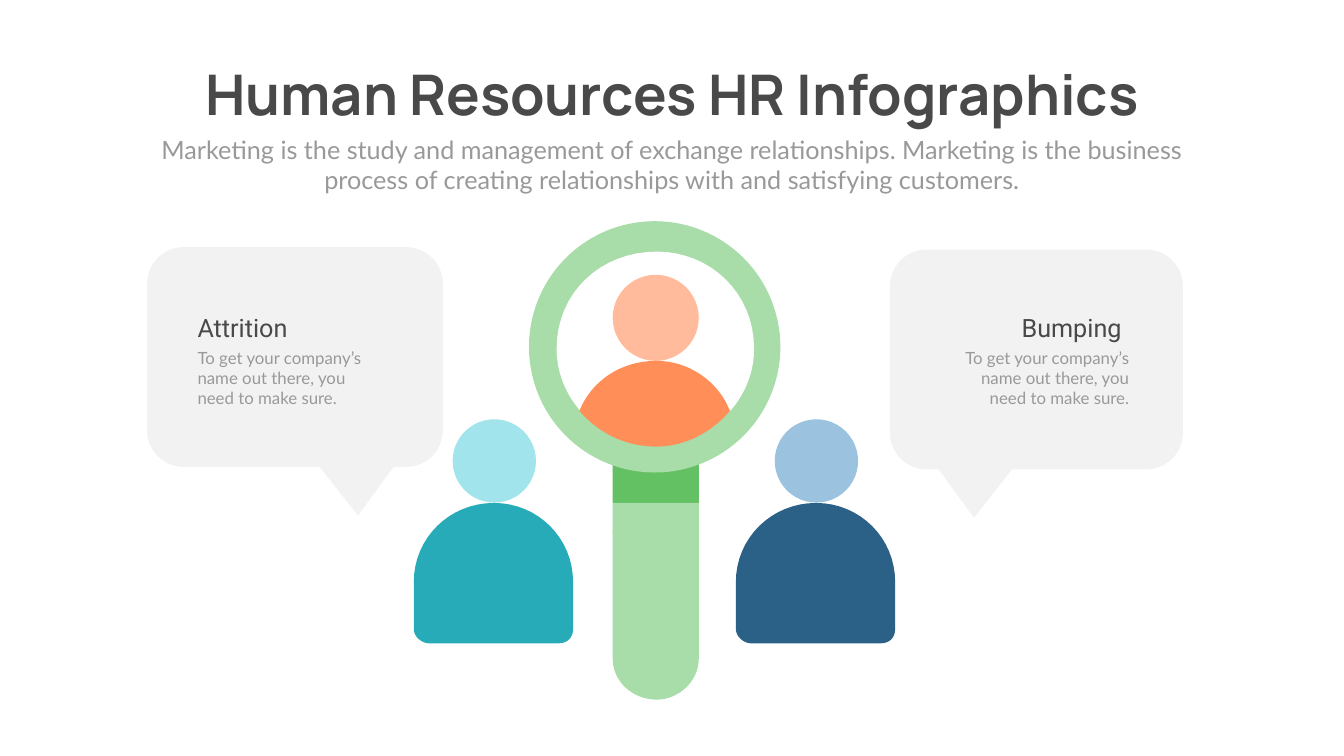
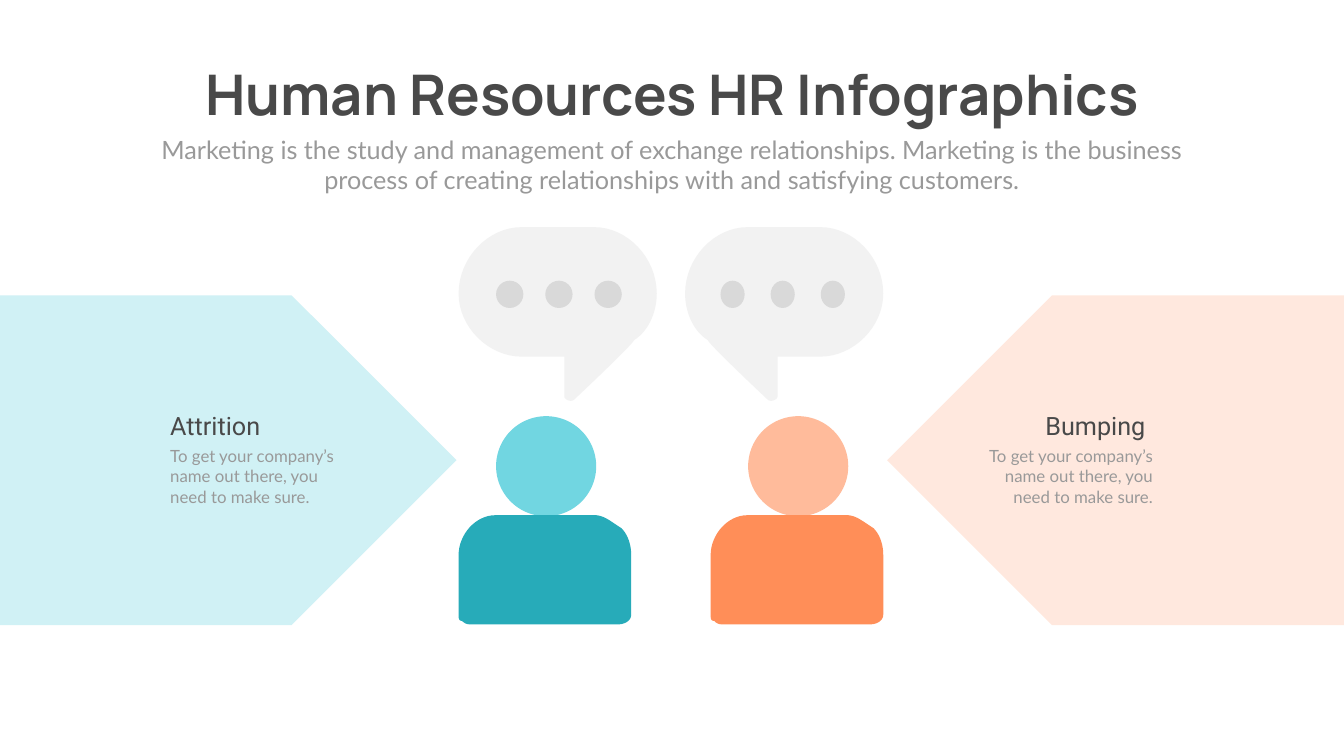
import pptx
import pptx.util
import pptx.dml.color
import pptx.enum.shapes
import pptx.enum.text

Pt = pptx.util.Pt
SHAPES = pptx.enum.shapes.MSO_SHAPE
ALIGN = pptx.enum.text.PP_ALIGN
ANCHOR = pptx.enum.text.MSO_ANCHOR
AUTO_SIZE = pptx.enum.text.MSO_AUTO_SIZE

TITLE = "Human Resources HR Infographics"
SUBTITLE = ("Marketing is the study and management of exchange relationships. "
            "Marketing is the business process of creating relationships with "
            "and satisfying customers.")
NOTE = "To get your company’s name out there, you need to make sure."

DARK, GREY = "494949", "999999"
BUBBLE, DOT = "F2F2F2", "D9D9D9"
TEAL, ORANGE, NAVY = "27ABB9", "FF8E58", "2C6187"
PEACH, GREEN, PALE_GREEN = "FFBB9B", "63C063", "A8DCA8"

# Outlines in points: a pair is a corner, six numbers are a cubic curve.
COLLAR = [(887, 738.5), (875, 718), (875, 659), (912.5, 675, 959, 675, 998, 659),
          (998, 718), (985, 738.5)]
HANDLE = [(985, 738.5), (998, 759.5), (998, 940.5),
          (998, 974.5, 968, 999.5, 938, 999.5),
          (904.5, 999.5, 875, 974.5, 875, 940.5), (875, 759.5), (887, 738.5)]
LENS = [(1077, 498), (1077, 531.5, 1065, 561, 1044, 586),
        (1014.5, 607, 854, 615.5, 828, 586), (807, 561, 795, 531.5, 795, 498),
        (795, 418.5, 857.5, 359.5, 938, 359.5),
        (1014.5, 359.5, 1077, 418.5, 1077, 498)]
LENS_SHOULDERS = [(1042.5, 587), (1017.5, 616.5, 979, 638, 937.5, 638),
                  (890.5, 638, 853, 616.5, 827.5, 587),
                  (844.5, 544.5, 886.5, 515.5, 937.5, 515.5),
                  (983.5, 515.5, 1026, 544.5, 1042.5, 587)]
ROUND_BODY = [(114.5, 0), (51, 0, 0, 50, 0, 113), (0, 179.5),
              (0, 192.5, 13, 200.5, 21.5, 200.5), (206.5, 200.5),
              (219.5, 200.5, 227.5, 192.5, 227.5, 179.5), (227.5, 113),
              (227.5, 50, 177, 0, 114.5, 0)]
WIDE_BODY = [(232.5, 18.5), (218, 9.5, 208, 0, 194.5, 0), (52.5, 0),
             (24, 0, 0, 28, 0, 57), (0, 142), (0, 147, 0, 151, 5, 151),
             (9.5, 156, 14.5, 156, 18.5, 156), (227.5, 156),
             (237, 156, 246.5, 151, 246.5, 142), (246.5, 57),
             (246.5, 42.5, 242, 28, 232.5, 18.5)]
SPEECH_WIDTH = 283
SPEECH = [(151, 242), (151, 185), (90, 185), (42.5, 185, 0, 142.5, 0, 95),
          (0, 43.5, 42.5, 0, 90, 0), (193.5, 0), (241, 0, 283, 43.5, 283, 95),
          (283, 118, 273.5, 147, 250.5, 161.5),
          (250.5, 161.5, 255, 161.5, 165.5, 246), (160.5, 251, 151, 246, 151, 242)]


def rgb(value):
    return pptx.dml.color.RGBColor.from_string(value)


def flatten(outline, steps=16):
    """Turn corners and cubic curves into a list of points."""
    points = []
    for part in outline:
        if len(part) == 2:
            points.append(part)
            continue
        controls = [points[-1], part[0:2], part[2:4], part[4:6]]
        for step in range(1, steps + 1):
            t = step / steps
            weights = ((1 - t) ** 3, 3 * t * (1 - t) ** 2, 3 * t * t * (1 - t), t ** 3)
            points.append(tuple(sum(weight * control[axis] for weight, control
                                    in zip(weights, controls)) for axis in (0, 1)))
    return points


class Deck:
    def __init__(self):
        self.presentation = pptx.Presentation()
        self.presentation.slide_width = Pt(1919.5)
        self.presentation.slide_height = Pt(1080)
        self.slide = None

    def new_slide(self):
        """Start a slide with the shared title and subtitle."""
        self.slide = self.presentation.slides.add_slide(
            self.presentation.slide_layouts[5])
        title = self.slide.shapes.title
        title.left, title.top = Pt(236), Pt(80.5)
        title.width, title.height = Pt(1448), Pt(104.5)
        frame = title.text_frame
        frame.auto_size = AUTO_SIZE.NONE
        frame.word_wrap = False
        frame.vertical_anchor = ANCHOR.MIDDLE
        self.add_words(frame, TITLE, "Manrope", 80, DARK, ALIGN.CENTER, bold=True)
        self.text(210, 188, 1499, 94, SUBTITLE, "Lato", 36, GREY, ALIGN.CENTER)

    def add_words(self, frame, words, font, size, color, align, bold=False):
        paragraph = frame.paragraphs[0]
        paragraph.alignment = align
        run = paragraph.add_run()
        run.text = words
        run.font.name = font
        run.font.size = Pt(size)
        run.font.bold = bold
        run.font.color.rgb = rgb(color)

    def text(self, left, top, width, height, words, font, size, color, align):
        box = self.slide.shapes.add_textbox(Pt(left), Pt(top), Pt(width), Pt(height))
        box.text_frame.word_wrap = True
        box.text_frame.auto_size = AUTO_SIZE.SHAPE_TO_FIT_TEXT
        self.add_words(box.text_frame, words, font, size, color, align)

    def note(self, left, top, heading, align=ALIGN.LEFT):
        """Place a heading with its short text below."""
        indent = 31 if align == ALIGN.RIGHT else 0
        self.text(left, top + 51, 276, 94, NOTE, "Lato", 24, GREY, align)
        self.text(left + indent, top, 234.5, 51, heading, "Roboto", 36, DARK, align)

    def paint(self, shape, color):
        shape.shadow.inherit = False
        shape.fill.solid()
        shape.fill.fore_color.rgb = rgb(color)
        shape.line.fill.background()
        return shape

    def shape(self, kind, left, top, width, height, color):
        return self.paint(self.slide.shapes.add_shape(
            kind, Pt(left), Pt(top), Pt(width), Pt(height)), color)

    def circle(self, left, top, size, color):
        return self.shape(SHAPES.OVAL, left, top, size, size, color)

    def callout(self, left, top, width, tail, color=BUBBLE):
        callout = self.shape(SHAPES.ROUNDED_RECTANGULAR_CALLOUT,
                             left, top, width, 314, color)
        for index, value in enumerate((tail, 0.721, 0.167)):
            callout.adjustments[index] = value

    def outline(self, outline, color, left=0, top=0, mirror_width=None):
        """Draw an outline at an offset, mirrored if a width is given."""
        points = flatten(outline)
        if mirror_width is not None:
            points = [(mirror_width - x, y) for x, y in points]
        # Hundredths of a point keep the curves smooth.
        points = [(100 * (left + x), 100 * (top + y)) for x, y in points]
        builder = self.slide.shapes.build_freeform(*points[0], scale=Pt(1) / 100)
        builder.add_line_segments(points[1:], close=True)
        self.paint(builder.convert_to_shape(), color)


def add_search_slide(deck):
    deck.new_slide()
    deck.outline(COLLAR, GREEN)
    deck.outline(HANDLE, PALE_GREEN)
    deck.circle(755.5, 316, 359, PALE_GREEN)
    deck.outline(LENS, "FFFFFF")
    deck.circle(875, 392.5, 123, PEACH)
    deck.outline(LENS_SHOULDERS, ORANGE)
    for left, head, body in ((591, "A1E4EB", TEAL), (1051, "9BC2DE", NAVY)):
        deck.circle(left + 55.5, 599, 119, head)
        deck.outline(ROUND_BODY, body, left, 718.5)
    deck.shape(SHAPES.RECTANGLE, 875, 718.5, 123, 43, PALE_GREEN)
    deck.callout(1271, 356.5, 418.5, -0.213)
    deck.callout(210, 353, 422.5, 0.213)
    deck.note(275, 442, "Attrition")
    deck.note(1343.5, 442, "Bumping", ALIGN.RIGHT)


def add_dialogue_slide(deck):
    deck.new_slide()
    for left, head, body in ((655, "71D6E1", TEAL), (1015, PEACH, ORANGE)):
        deck.circle(left + 53.5, 594.5, 143, head)
        deck.outline(WIDE_BODY, body, left, 736)
    for left, mirror_width, first_dot, pitch, dot_width in (
            (655, None, 708.5, 70.3, 39), (978.5, SPEECH_WIDTH, 1029, 71.6, 34.5)):
        deck.outline(SPEECH, BUBBLE, left, 324.5, mirror_width)
        for index in range(3):
            deck.shape(SHAPES.OVAL, first_dot + index * pitch, 401, dot_width, 39, DOT)
    for left, rotation, color in ((-3, 0, "D0F1F5"), (1267, 180, "FFE8DE")):
        arrow = deck.shape(SHAPES.PENTAGON, left, 422, 655, 471, color)
        arrow.rotation = rotation
    deck.note(236, 582.5, "Attrition")
    deck.note(1377.5, 582.5, "Bumping", ALIGN.RIGHT)


def main():
    deck = Deck()
    add_search_slide(deck)
    add_dialogue_slide(deck)
    deck.presentation.save("out.pptx")


if __name__ == "__main__":
    main()
